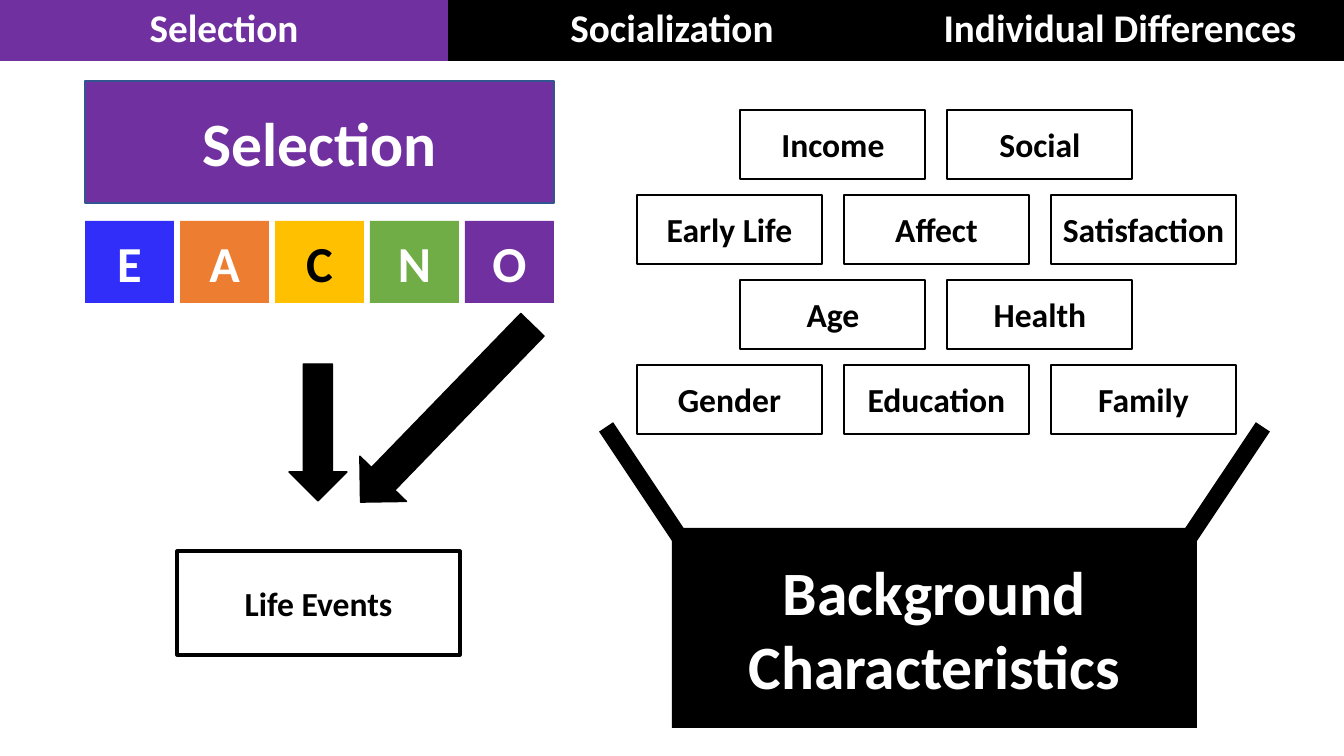
from collections import namedtuple

from pptx import Presentation
from pptx.dml.color import RGBColor
from pptx.enum.shapes import MSO_SHAPE
from pptx.enum.text import MSO_ANCHOR, MSO_AUTO_SIZE, PP_ALIGN
from pptx.util import Inches, Pt

PX = Inches(1) / 100.8
FONT = "Calibri"
NO_TABLE_STYLE = "{2D5ABB26-0587-4C30-8999-92F81FD0307C}"

BLACK = RGBColor(0x00, 0x00, 0x00)
WHITE = RGBColor(0xFF, 0xFF, 0xFF)
PURPLE = RGBColor(0x70, 0x30, 0xA0)
NAVY = RGBColor(0x32, 0x54, 0x91)
BLUE = RGBColor(0x30, 0x2E, 0xF8)
ORANGE = RGBColor(0xED, 0x7D, 0x31)
GOLD = RGBColor(0xFF, 0xC0, 0x00)
GREEN = RGBColor(0x70, 0xAD, 0x47)

TABS = [("Selection", PURPLE), ("Socialization", BLACK), ("Individual Differences", BLACK)]
TRAITS = [("E", BLUE, WHITE), ("A", ORANGE, WHITE), ("C", GOLD, BLACK),
          ("N", GREEN, WHITE), ("O", PURPLE, WHITE)]
BACKGROUND_ROWS = [
    ["Income", "Social"],
    ["Early Life", "Affect", "Satisfaction"],
    ["Age", "Health"],
    ["Gender", "Education", "Family"],
]

Box = namedtuple("Box", "left top width height")


def px(length):
    """Turn a length in px into EMU."""
    return round(length * PX)


def apply_format(target, values):
    """Set each named attribute of the target."""
    for name, value in values.items():
        setattr(target, name, value)


def write(frame, text, size, color):
    """Write one centred bold paragraph into a text frame."""
    para = frame.paragraphs[0]
    para.alignment = PP_ALIGN.CENTER
    span = para.add_run()
    span.text = text
    apply_format(span.font, {"name": FONT, "size": Pt(size), "bold": True})
    span.font.color.rgb = color


def label(shape, text, size, color):
    """Centre a label inside a shape."""
    frame = shape.text_frame
    apply_format(frame, {
        "word_wrap": True, "auto_size": MSO_AUTO_SIZE.NONE,
        "vertical_anchor": MSO_ANCHOR.MIDDLE,
        "margin_left": 0, "margin_right": 0,
    })
    write(frame, text, size, color)


def paint(shape, fill=None, line=None, weight=1):
    """Give a shape its fill and outline, or none."""
    if fill is None:
        shape.fill.background()
    else:
        shape.fill.solid()
        shape.fill.fore_color.rgb = fill
    if line is None:
        shape.line.fill.background()
    else:
        shape.line.color.rgb = line
        shape.line.width = Pt(weight)


def add_block(page, box, kind=MSO_SHAPE.RECTANGLE, rotation=0, **colors):
    """Add a painted preset shape that fills the box."""
    shape = page.shapes.add_shape(kind, *map(px, box))
    shape.shadow.inherit = False
    shape.rotation = rotation
    paint(shape, **colors)
    return shape


def add_tabs(page, box):
    """Add the navigation table across the box."""
    frame = page.shapes.add_table(1, len(TABS), *map(px, box))
    table = frame.table
    table._tbl.tblPr.find("{*}tableStyleId").text = NO_TABLE_STYLE
    apply_format(table, {"first_row": False, "horz_banding": False})
    for cell, (text, fill) in zip(table.rows[0].cells, TABS):
        cell.fill.solid()
        cell.fill.fore_color.rgb = fill
        write(cell.text_frame, text, 28, WHITE)


def add_title(page, box):
    """Move the title placeholder into the box and format it."""
    title = page.shapes.title
    apply_format(title, dict(zip(box._fields, map(px, box))))
    paint(title, PURPLE, NAVY)
    label(title, "Selection", 44, WHITE)


def add_traits(page, box, gap=6):
    """Add the row of trait tiles, evenly spaced over the box."""
    width = (box.width - gap * (len(TRAITS) - 1)) / len(TRAITS)
    for index, (letter, fill, color) in enumerate(TRAITS):
        left = box.left + index * (width + gap)
        tile = add_block(page, Box(left, box.top, width, box.height), fill=fill)
        label(tile, letter, 36, color)


def add_events(page, box):
    """Add the two arrows and the life events box they point to."""
    for arrow, rotation in [
        (Box(box.left + 112, box.top, 58, 137), 0),
        (Box(box.left + 237, box.top - 74, 65, 247), 44.1),
    ]:
        add_block(page, arrow, MSO_SHAPE.DOWN_ARROW, rotation, fill=BLACK, line=BLACK)
    events = Box(box.left, box.top + box.height - 104, box.width, 104)
    label(add_block(page, events, line=BLACK, weight=2.25), "Life Events", 24, BLACK)


def add_background(page, box):
    """Add the open carton with its two slanted flaps."""
    carton = add_block(page, box, fill=BLACK)
    label(carton, "Background Characteristics", 44, WHITE)
    middle = box.left + box.width / 2
    for side in (-1, 1):
        flap = Box(middle + side * 289 - 8.5, box.top - 113, 17, 142)
        add_block(page, flap, rotation=side * 33.7 % 360, fill=BLACK)


def add_characteristics(page, box, gap=22, pitch=85):
    """Add the staggered rows of characteristics, each centred in the box."""
    width = (box.width - 2 * gap) / 3
    height = box.height - pitch * (len(BACKGROUND_ROWS) - 1)
    for row, names in enumerate(BACKGROUND_ROWS):
        row_width = len(names) * (width + gap) - gap
        start = box.left + (box.width - row_width) / 2
        for column, name in enumerate(names):
            tile = Box(start + column * (width + gap), box.top + row * pitch, width, height)
            label(add_block(page, tile, line=BLACK, weight=1.5), name, 24, BLACK)


def main():
    """Build the slide and save it."""
    deck = Presentation()
    apply_format(deck, {"slide_width": px(1344), "slide_height": px(756)})
    page = deck.slides.add_slide(deck.slide_layouts[5])
    add_tabs(page, Box(0, 0, 1344, 61))
    add_title(page, Box(85, 81, 469, 122))
    add_traits(page, Box(85, 221, 469, 82))
    add_events(page, Box(177, 364, 283, 291))
    add_background(page, Box(672, 528, 525, 200))
    add_characteristics(page, Box(637, 110, 599, 324))
    deck.save("out.pptx")


if __name__ == "__main__":
    main()
